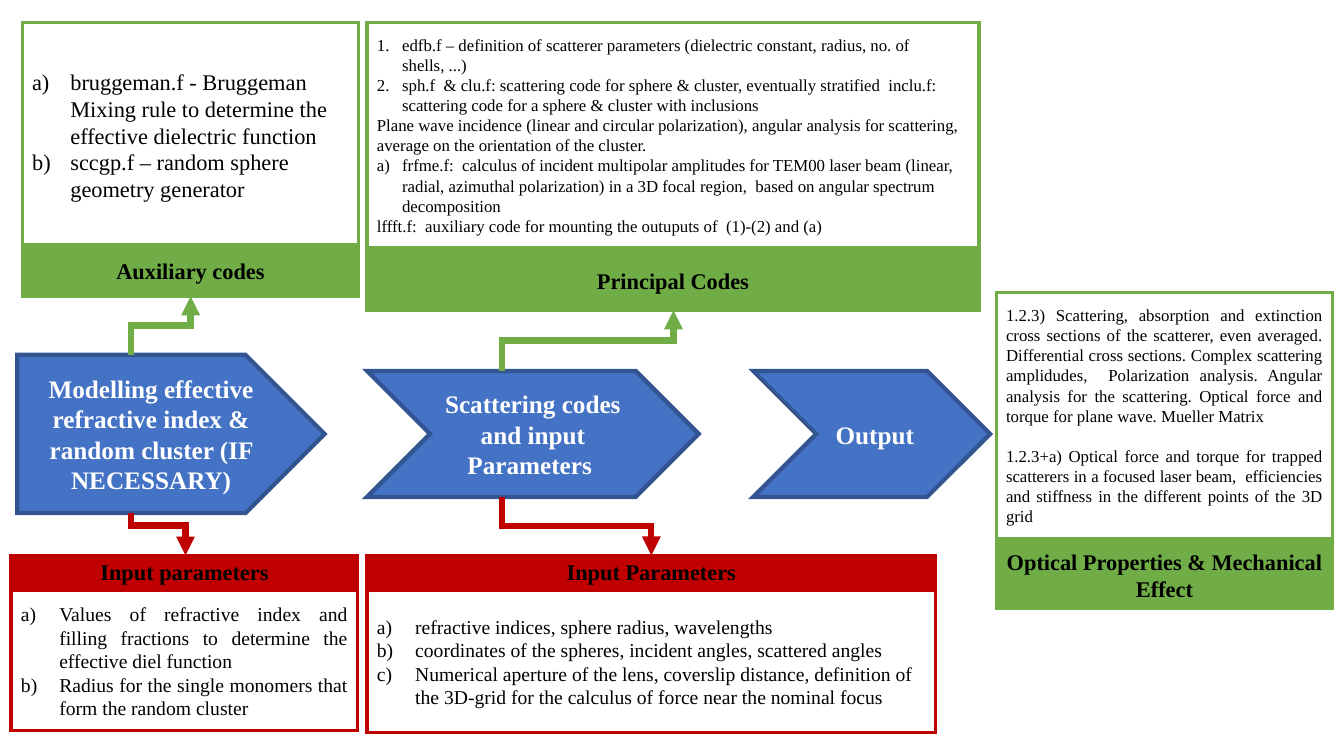
from dataclasses import dataclass

from lxml.etree import SubElement
from pptx import Presentation
from pptx.dml.color import RGBColor
from pptx.enum.shapes import MSO_CONNECTOR as Link, MSO_SHAPE as Shape
from pptx.enum.text import MSO_ANCHOR as Anchor, PP_ALIGN as Align
from pptx.oxml.ns import qn
from pptx.util import Inches, Pt


@dataclass(frozen=True)
class Theme:
    """Colours, type sizes and line widths of the slide."""
    font: str = "Times New Roman"
    white: str = "FFFFFF"
    black: str = "000000"
    blue: str = "4472C4"
    navy: str = "325491"
    green: str = "70AD47"
    red: str = "C00000"
    step_size: int = 18
    title_size: int = 16
    list_size: int = 14
    small_size: int = 12
    step_line: float = 3
    panel_line: float = 2.25
    arrow_line: float = 4.5


THEME = Theme()
LETTERS = "alphaLcParenR"
NUMBERS = "arabicPeriod"


def style_line(item, color, width):
    """Give a shape or connector a solid line with sharp corners."""
    item.line.color.rgb = RGBColor.from_string(color)
    item.line.width = Pt(width)
    outline = item._element.spPr.find(qn("a:ln"))
    SubElement(outline, qn("a:miter"), lim="800000")
    return outline


def add_block(page, kind, box, fill, color, width):
    """Add a filled, outlined shape in the given box and return its text frame."""
    shape = page.shapes.add_shape(kind, *map(Inches, box))
    shape.shadow.inherit = False
    shape.fill.solid()
    shape.fill.fore_color.rgb = RGBColor.from_string(fill)
    style_line(shape, color, width)
    frame = shape.text_frame
    frame.word_wrap = True
    frame.vertical_anchor = Anchor.MIDDLE
    return frame


def write_para(para, text, size, color, align, bold=False):
    """Write one run of text into a paragraph."""
    para.alignment = align
    span = para.add_run()
    span.text = text
    span.font.name = THEME.font
    span.font.size = Pt(size)
    span.font.bold = bold
    span.font.color.rgb = RGBColor.from_string(color)


def number_para(para, scheme, indent):
    """Turn a paragraph into an automatically numbered item."""
    props = para._p.get_or_add_pPr()
    props.set("marL", str(Inches(indent)))
    props.set("indent", str(-Inches(indent)))
    SubElement(props, qn("a:buFont"), typeface="+mj-lt")
    SubElement(props, qn("a:buAutoNum"), type=scheme)


def add_step(page, kind, box, text):
    """Add one blue step of the process."""
    frame = add_block(page, kind, box, THEME.blue, THEME.navy, THEME.step_line)
    write_para(frame.paragraphs[0], text, THEME.step_size, THEME.white, Align.CENTER, True)


def add_panel(page, box, title_span, title, items, color, size,
              align=Align.LEFT, indent=0.38, gap=0):
    """Add a white body with its items and a coloured title bar."""
    left, top, width, height = box
    body = add_block(page, Shape.FLOWCHART_PROCESS, box, THEME.white, color, THEME.panel_line)
    for index, (scheme, text) in enumerate(items):
        para = body.add_paragraph() if index else body.paragraphs[0]
        write_para(para, text, size, THEME.black, align)
        if index and gap:
            para.space_before = Pt(gap)
        if scheme:
            number_para(para, scheme, indent)
    title_top, title_height = title_span
    bar = add_block(page, Shape.FLOWCHART_PROCESS, (left, title_top, width, title_height),
                    color, color, THEME.panel_line)
    write_para(bar.paragraphs[0], title, THEME.title_size, THEME.black, Align.CENTER, True)


def add_arrow(page, start, end, color, bend=0.5):
    """Add an elbow arrow that leaves and arrives vertically."""
    (x1, y1), (x2, y2) = start, end
    mid_x, mid_y = (x1 + x2) / 2, (y1 + y2) / 2
    reach, spread = abs(y2 - y1) / 2, (x2 - x1) / 2
    upward = y2 < y1
    side = spread if upward else -spread
    arrow = page.shapes.add_connector(Link.ELBOW, *map(Inches, (
        mid_x + reach, mid_y + side, mid_x - reach, mid_y - side)))
    props = arrow._element.spPr
    props.find(qn("a:xfrm")).set("rot", str((90 if upward else 270) * 60000))
    guides = props.find(qn("a:prstGeom")).find(qn("a:avLst"))
    SubElement(guides, qn("a:gd"), name="adj1", fmla=f"val {round(bend * 100000)}")
    outline = style_line(arrow, color, THEME.arrow_line)
    SubElement(outline, qn("a:tailEnd"), type="triangle")
    SubElement(props, qn("a:effectLst"))


def add_steps(page):
    """Place the three process steps."""
    add_step(page, Shape.PENTAGON, (0.17, 3.52, 3.05, 1.57),
             "Modelling effective refractive index & random cluster (IF NECESSARY)")
    add_step(page, Shape.CHEVRON, (3.64, 3.68, 3.29, 1.25),
             "Scattering codes and input Parameters ")
    add_step(page, Shape.CHEVRON, (7.47, 3.68, 2.35, 1.25), " Output")


def add_code_panels(page):
    """Place the green panels for codes and results."""
    add_panel(page, (0.22, 0.22, 3.34, 2.24), (2.43, 0.51), "Auxiliary codes", [
        (LETTERS, "bruggeman.f - Bruggeman Mixing rule to determine the effective "
                  "dielectric function"),
        (LETTERS, "sccgp.f – random sphere geometry generator"),
    ], THEME.green, THEME.title_size)
    add_panel(page, (3.64, 0.22, 6.07, 2.24), (2.48, 0.6), "Principal Codes", [
        (NUMBERS, "edfb.f – definition of scatterer parameters (dielectric constant, "
                  "radius, no. of shells, ...)"),
        (NUMBERS, "sph.f  & clu.f: scattering code for sphere & cluster, eventually "
                  "stratified  inclu.f: scattering code for a sphere & cluster with inclusions"),
        (None, "Plane wave incidence (linear and circular polarization), angular analysis "
               "for scattering, average on the orientation of the cluster."),
        (LETTERS, "frfme.f:  calculus of incident multipolar amplitudes for TEM00 laser beam "
                  "(linear, radial, azimuthal polarization) in a 3D focal region,  based on "
                  "angular spectrum decomposition"),
        (None, "lffft.f:  auxiliary code for mounting the outuputs of  (1)-(2) and (a)"),
    ], THEME.green, THEME.small_size, indent=0.25)
    add_panel(page, (9.88, 2.9, 3.34, 2.44), (5.37, 0.67),
              "Optical Properties & Mechanical Effect", [
        (None, "1.2.3) Scattering, absorption and extinction cross sections of the scatterer, "
               "even averaged. Differential cross sections. Complex scattering amplidudes,  "
               "Polarization analysis. Angular analysis for the scattering. Optical force and "
               "torque for plane wave. Mueller Matrix"),
        (None, "1.2.3+a) Optical force and torque for trapped scatterers in a focused laser "
               "beam,  efficiencies and stiffness in the different points of the 3D grid"),
    ], THEME.green, THEME.small_size, Align.JUSTIFY, gap=14)


def add_input_panels(page):
    """Place the red panels for input parameters."""
    title_span = (5.51, 0.32)
    add_panel(page, (0.11, 5.86, 3.44, 1.39), title_span, "Input parameters", [
        (LETTERS, "Values of refractive index and filling fractions to determine the "
                  "effective diel function "),
        (LETTERS, "Radius for the single monomers that form the random cluster"),
    ], THEME.red, THEME.list_size, Align.JUSTIFY)
    add_panel(page, (3.64, 5.86, 5.64, 1.41), title_span, "Input Parameters", [
        (LETTERS, "refractive indices, sphere radius, wavelengths"),
        (LETTERS, "coordinates of the spheres, incident angles, scattered angles"),
        (LETTERS, "Numerical aperture of the lens, coverslip distance, definition of the "
                  "3D-grid for the calculus of force near the nominal focus"),
    ], THEME.red, THEME.list_size)


def add_arrows(page):
    """Link the steps with their panels."""
    add_arrow(page, (1.3, 3.52), (1.89, 2.94), THEME.green)
    add_arrow(page, (4.98, 3.68), (6.68, 3.08), THEME.green)
    add_arrow(page, (1.3, 5.09), (1.84, 5.51), THEME.red, 0.29)
    add_arrow(page, (4.98, 4.93), (6.46, 5.51), THEME.red)


def main():
    """Build the slide and save the deck."""
    deck = Presentation()
    deck.slide_width, deck.slide_height = Inches(13.33), Inches(7.5)
    page = deck.slides.add_slide(deck.slide_layouts[6])
    add_steps(page)
    add_code_panels(page)
    add_input_panels(page)
    add_arrows(page)
    deck.save("out.pptx")


if __name__ == "__main__":
    main()
